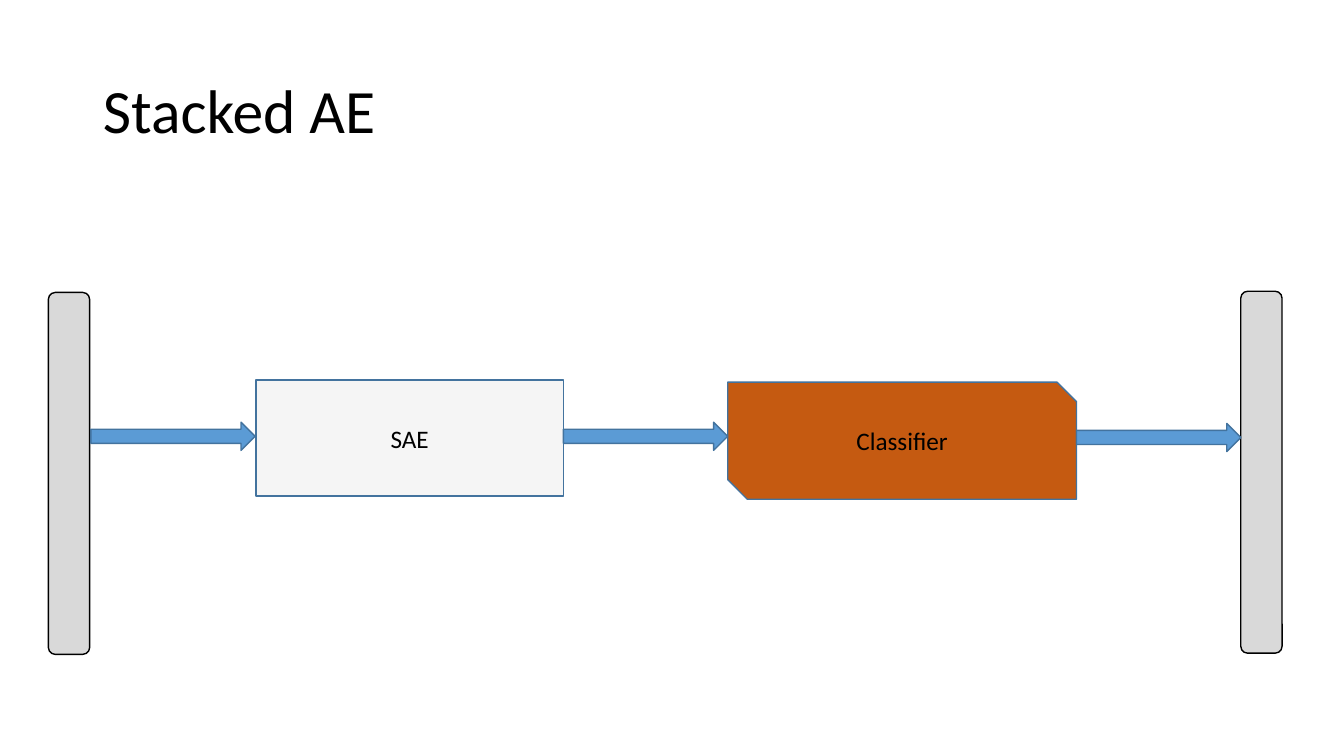
import pptx
import pptx.util
import pptx.dml.color
import pptx.enum.shapes
import pptx.enum.text
from dataclasses import dataclass

Cm = pptx.util.Cm
Pt = pptx.util.Pt
Kind = pptx.enum.shapes.MSO_SHAPE
Align = pptx.enum.text.PP_ALIGN
Anchor = pptx.enum.text.MSO_ANCHOR


@dataclass
class Theme:
    font: str = "Calibri"
    ink: str = "000000"
    blue: str = "5B9BD5"
    edge: str = "43739E"
    grey: str = "D9D9D9"
    pale: str = "F5F5F5"
    rust: str = "C55A11"
    head: int = 44
    body: int = 18
    line: int = 1


class Deck:
    def __init__(self, theme):
        self.theme = theme
        self.show = pptx.Presentation()
        self.show.slide_width = Cm(33.87)
        self.show.slide_height = Cm(19.05)
        self.slide = self.show.slides.add_slide(self.show.slide_layouts[5])

    def tint(self, name):
        return pptx.dml.color.RGBColor.from_string(getattr(self.theme, name))

    def style(self, item, values):
        for key, value in values.items():
            setattr(item, key, value)

    def label(self, shape, text, size, align, space=None):
        frame = shape.text_frame
        self.style(frame, {"word_wrap": True, "vertical_anchor": Anchor.MIDDLE})
        para = frame.paragraphs[0]
        para.text = text
        self.style(para, {"alignment": align, "line_spacing": space})
        self.style(para.font, {"name": self.theme.font, "size": Pt(size)})
        para.font.color.rgb = self.tint("ink")

    def title(self, text, left, top, width, height):
        box = self.slide.shapes.title
        self.style(box, {"left": Cm(left), "top": Cm(top),
                         "width": Cm(width), "height": Cm(height)})
        self.label(box, text, self.theme.head, Align.LEFT, 0.9)

    def block(self, kind, left, top, width, height, fill, edge="edge", text=None):
        shape = self.slide.shapes.add_shape(
            kind, Cm(left), Cm(top), Cm(width), Cm(height))
        shape.shadow.inherit = False
        shape.fill.solid()
        shape.fill.fore_color.rgb = self.tint(fill)
        shape.line.color.rgb = self.tint(edge)
        shape.line.width = Pt(self.theme.line)
        if text:
            self.label(shape, text, self.theme.body, Align.CENTER)

    def bar(self, left, top):
        self.block(Kind.ROUNDED_RECTANGLE, left, top, 1.04, 9.12, "grey", "ink")

    def arrow(self, left, top):
        self.block(Kind.RIGHT_ARROW, left, top, 4.14, 0.71, "blue")


def main():
    deck = Deck(Theme())
    deck.title("Stacked AE", 2.34, 1.02, 29.21, 3.68)
    for left, top in ((1.22, 7.37), (31.27, 7.34)):
        deck.bar(left, top)
    deck.block(Kind.RECTANGLE, 6.45, 9.58, 7.75, 2.92, "pale", text="SAE")
    deck.block(Kind.SNIP_2_DIAG_RECTANGLE, 18.34, 9.63, 8.79, 2.95, "rust",
               text="Classifier")
    for left, top in ((2.29, 10.64), (14.2, 10.64), (27.13, 10.67)):
        deck.arrow(left, top)
    deck.show.save("out.pptx")


if __name__ == "__main__":
    main()
